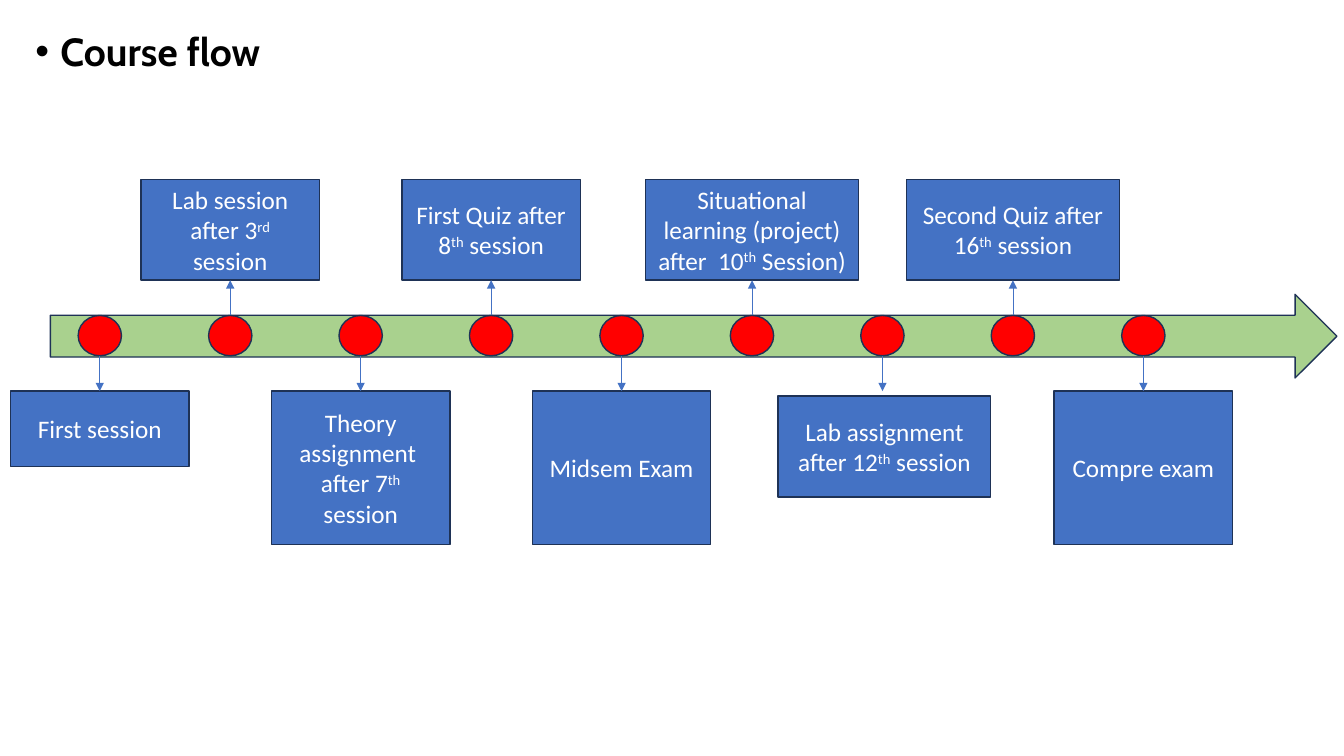
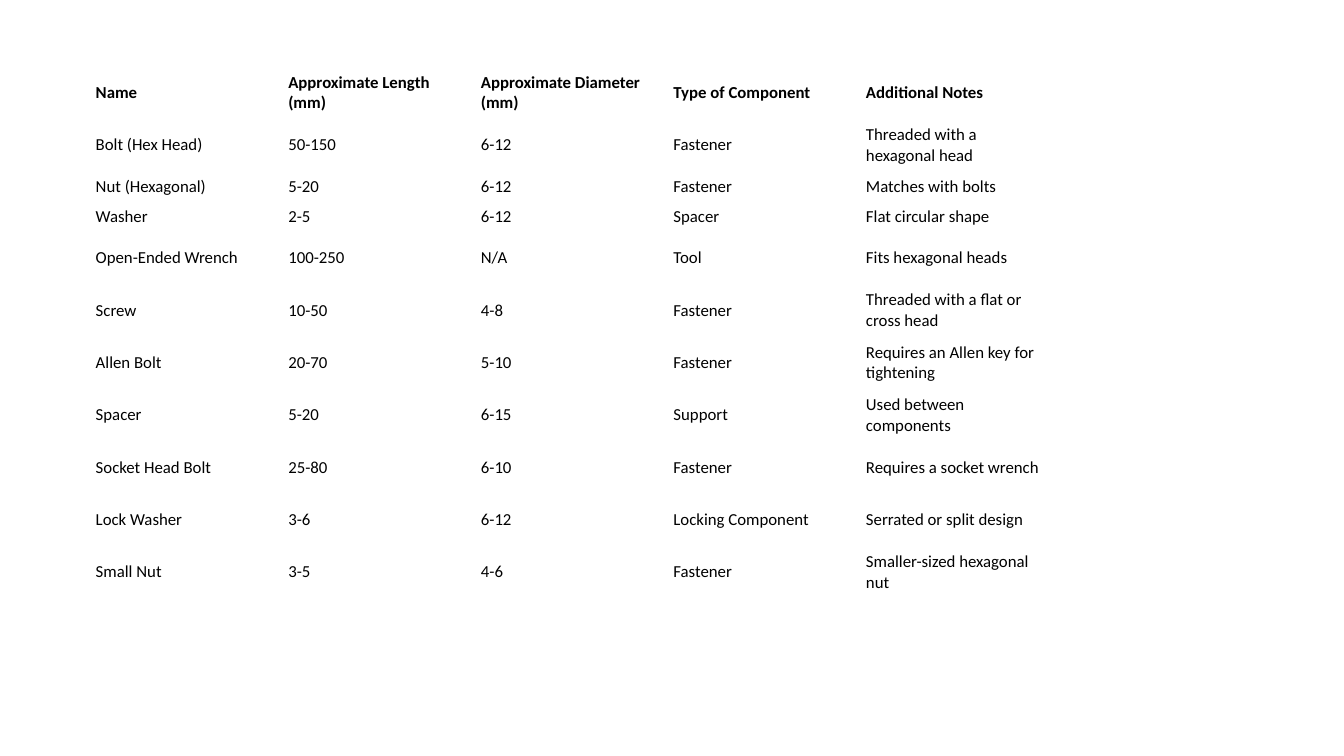
"""Build the course flow timeline and the component table."""
from pptx import Presentation, util as u
from pptx.dml.color import RGBColor
from pptx.enum import shapes, text
from pptx.oxml import ns, xmlchemy as xml

Inches = u.Inches
KIND = shapes.MSO_SHAPE
FONT, HEAD = "Calibri", "Cabin"
BLACK, WHITE, BLUE, NAVY = "000000", "FFFFFF", "4472C4", "1E3256"
GREEN, RED = "A9D18E", "FF0000"


def color(code):
    return RGBColor.from_string(code)


def child(owner, tag, **attrs):
    node = xml.OxmlElement(tag)
    for key, value in attrs.items():
        node.set(key, value)
    owner.append(node)


class Deck:
    def __init__(self):
        self.prs = Presentation()
        self.prs.slide_width = Inches(13.33)
        self.prs.slide_height = Inches(7.5)
        self.slide = None

    def page(self, layout):
        self.slide = self.prs.slides.add_slide(self.prs.slide_layouts[layout])

    def style(self, para, size, code, bold=False, face=FONT):
        for run in para.runs:
            font = run.font
            font.name, font.size, font.bold = face, u.Pt(size), bold
            font.color.rgb = color(code)

    def title(self, words):
        box = self.slide.shapes.title
        box.left, box.top = Inches(0.25), Inches(0.27)
        box.width, box.height = Inches(12.76), Inches(0.64)
        frame = box.text_frame
        frame.text = words
        frame.auto_size = text.MSO_AUTO_SIZE.NONE
        frame.vertical_anchor = text.MSO_ANCHOR.TOP
        para = frame.paragraphs[0]
        props = para._p.get_or_add_pPr()
        props.set("marL", str(Inches(0.25)))
        props.set("indent", str(-Inches(0.25)))
        child(props, "a:buFont", typeface="Arial")
        child(props, "a:buChar", char="•")
        para.alignment = text.PP_ALIGN.LEFT
        para.line_spacing = 0.9
        self.style(para, 28, BLACK, True, HEAD)

    def shape(self, kind, left, top, width, height, fill):
        item = self.slide.shapes.add_shape(
            kind, Inches(left), Inches(top), Inches(width), Inches(height))
        item.shadow.inherit = False
        item.fill.solid()
        item.fill.fore_color.rgb = color(fill)
        item.line.color.rgb = color(NAVY)
        item.line.width = u.Pt(1)
        return item

    def box(self, words, left, top, width, height):
        item = self.shape(KIND.RECTANGLE, left, top, width, height, BLUE)
        item.text_frame.vertical_anchor = text.MSO_ANCHOR.MIDDLE
        para = item.text_frame.paragraphs[0]
        para.alignment = text.PP_ALIGN.CENTER
        first, *rest = words.split("^")
        para.text = first
        for index, part in enumerate(rest):
            run = para.add_run()
            run.text = part
            if index % 2 == 0:
                run._r.get_or_add_rPr().set("baseline", "30000")
        self.style(para, 18, WHITE)
        return item

    def arrow(self, x, start, end, goal=None, side=0):
        line = self.slide.shapes.add_connector(
            shapes.MSO_CONNECTOR.STRAIGHT,
            Inches(x), Inches(start), Inches(x), Inches(end))
        if goal is not None:
            line.end_connect(goal, side)
        line.line.color.rgb = color(BLUE)
        line.line.width = u.Pt(0.5)
        props = line._element.spPr
        child(props.find(ns.qn("a:ln")), "a:tailEnd", type="triangle")
        child(props, "a:effectLst")

    def table(self, rows, left, top, width, heights):
        count = len(rows[0])
        grid = self.slide.shapes.add_table(
            len(rows), count, Inches(left), Inches(top),
            Inches(width * count), Inches(sum(heights))).table
        grid.first_row = grid.horz_banding = False
        for col in grid.columns:
            col.width = Inches(width)
        for r, (row, height) in enumerate(zip(rows, heights)):
            grid.rows[r].height = Inches(height)
            for c, words in enumerate(row):
                cell = grid.cell(r, c)
                cell.text = words
                cell.fill.background()
                cell.vertical_anchor = text.MSO_ANCHOR.MIDDLE
                cell.margin_left = cell.margin_right = Inches(0.07)
                cell.margin_top = cell.margin_bottom = Inches(0.03)
                self.style(cell.text_frame.paragraphs[0], 12, BLACK, r == 0)


# Each event: label, box width, box height, shift of the box right and down.
EVENTS = [
    ("First session", 1.77, 0.75, 0, 0),
    ("Lab session after 3^rd^ session", 1.77, 1, 0, 0),
    ("Theory assignment  after 7^th^ session", 1.77, 1.52, 0, 0),
    ("First Quiz after 8^th^ session", 1.77, 1, 0, 0),
    ("Midsem Exam", 1.77, 1.52, 0, 0),
    ("Situational learning (project) after  10^th^ Session)", 2.11, 1, 0, 0),
    ("Lab assignment after 12^th^ session", 2.11, 1, 0.02, 0.05),
    ("Second Quiz after 16^th^ session", 2.11, 1, 0, 0),
    ("Compre exam", 1.77, 1.52, 0, 0),
]

PARTS = [
    ("Name", "Approximate Length (mm)", "Approximate Diameter (mm)",
     "Type of Component", "Additional Notes"),
    ("Bolt (Hex Head)", "50-150", "6-12", "Fastener",
     "Threaded with a hexagonal head"),
    ("Nut (Hexagonal)", "5-20", "6-12", "Fastener", "Matches with bolts"),
    ("Washer", "2-5", "6-12", "Spacer", "Flat circular shape"),
    ("Open-Ended Wrench", "100-250", "N/A", "Tool", "Fits hexagonal heads"),
    ("Screw", "10-50", "4-8", "Fastener",
     "Threaded with a flat or cross head"),
    ("Allen Bolt", "20-70", "5-10", "Fastener",
     "Requires an Allen key for tightening"),
    ("Spacer", "5-20", "6-15", "Support", "Used between components"),
    ("Socket Head Bolt", "25-80", "6-10", "Fastener",
     "Requires a socket wrench"),
    ("Lock Washer", "3-6", "6-12", "Locking Component",
     "Serrated or split design"),
    ("Small Nut", "3-5", "4-6", "Fastener", "Smaller-sized hexagonal nut"),
]


def flow(deck):
    deck.page(5)
    deck.title("Course flow")
    deck.shape(KIND.RIGHT_ARROW, 0.5, 2.92, 12.76, 0.83, GREEN)
    first, last = 0.99, 11.34
    step = (last - first) / (len(EVENTS) - 1)
    high, low = 3.13, 3.53
    for index, (words, width, height, right, down) in enumerate(EVENTS):
        x = first + index * step
        above = index % 2 == 1
        start, end = (high, 2.78) if above else (low, 3.88)
        top = end - height if above else end + down
        deck.shape(KIND.OVAL, x - 0.43 / 2, high, 0.43, low - high, RED)
        box = deck.box(words, x - width / 2 + right, top, width, height)
        deck.arrow(x, start, end, None if down else box, 2 if above else 0)


def parts(deck):
    deck.page(6)
    heights = [0.3 if row[0] in ("Nut (Hexagonal)", "Washer") else 0.52
               for row in PARTS]
    deck.table(PARTS, 0.88, 0.66, 1.91, heights)


def main():
    deck = Deck()
    flow(deck)
    parts(deck)
    deck.prs.save("out.pptx")


if __name__ == "__main__":
    main()
